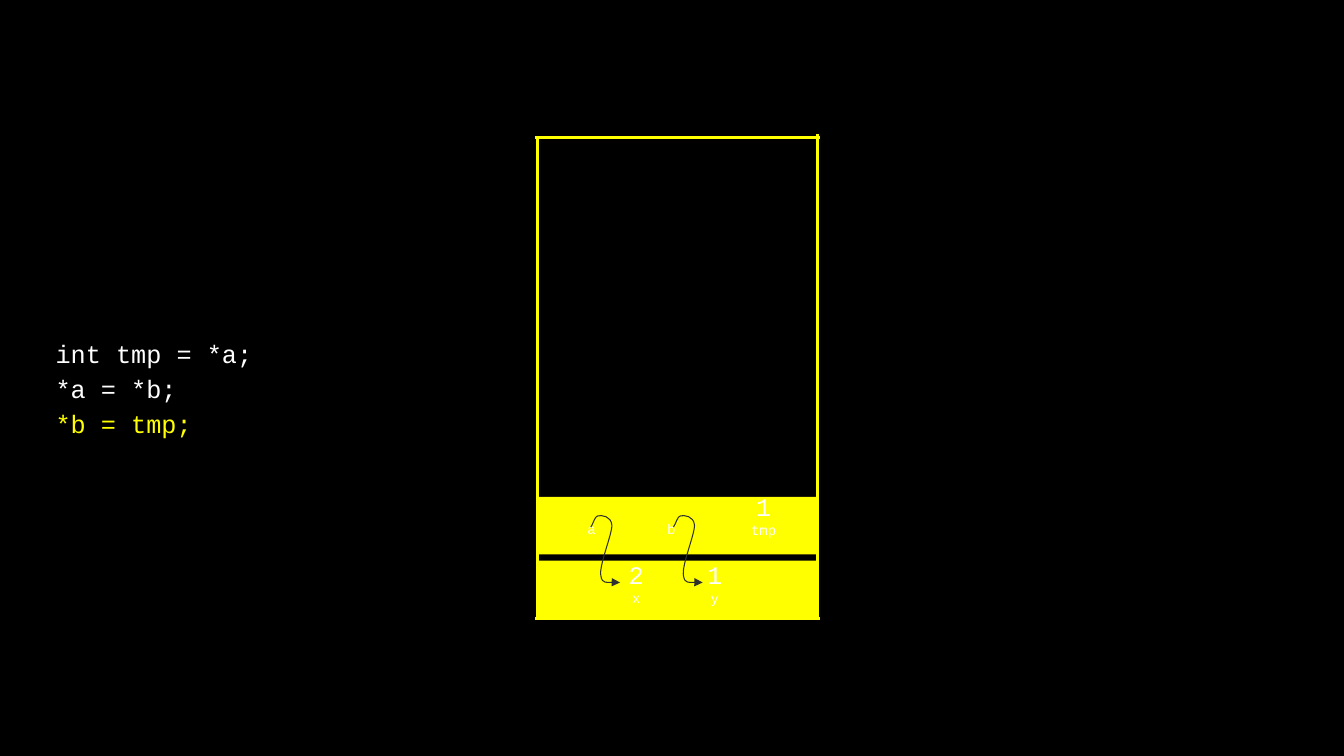
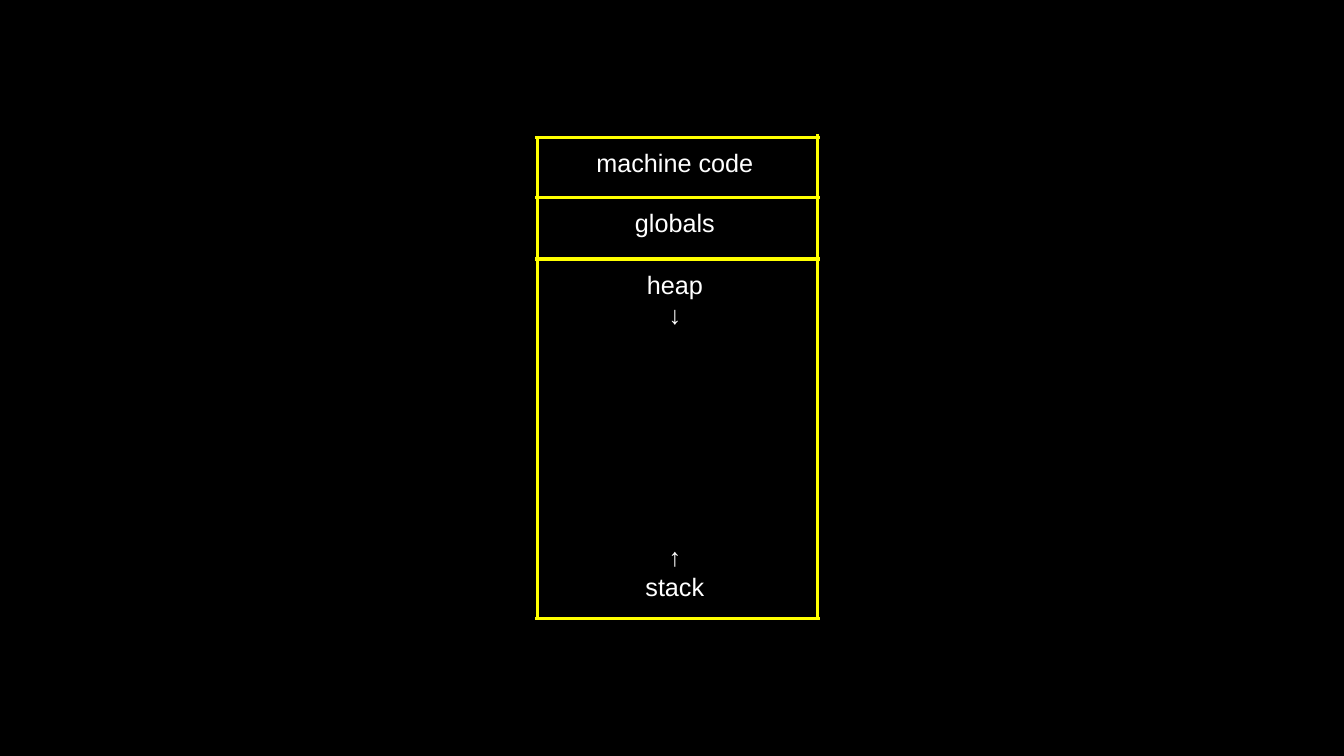
from dataclasses import dataclass

from lxml import etree
from pptx import Presentation
from pptx.dml.color import RGBColor
from pptx.enum.shapes import MSO_CONNECTOR, MSO_SHAPE
from pptx.enum.text import MSO_ANCHOR, MSO_AUTO_SIZE, PP_ALIGN
from pptx.oxml.ns import qn
from pptx.slide import Slide
from pptx.text.text import TextFrame
from pptx.util import Pt

STRAIGHT = MSO_CONNECTOR.STRAIGHT
RECTANGLE = MSO_SHAPE.RECTANGLE
MIDDLE = MSO_ANCHOR.MIDDLE
NO_RESIZE = MSO_AUTO_SIZE.NONE
CENTER = PP_ALIGN.CENTER
LEFT = PP_ALIGN.LEFT

COLORS = {
    "background": "000000",
    "accent": "FFFF00",
    "text": "FFFFFF",
    "pointer": "303030",
}
CODE_FONT = "Courier New"
LABEL_FONT = "Arial"
LARGE = 18
SMALL = 10
INSET = 7.2

FRAME_LEFT, FRAME_RIGHT = 384, 584
FRAME_TOP, FRAME_BOTTOM = 98, 442
OVERHANG = 2
POINTER_CURVE = [
    (1.4, -1.4), (2.9, -8), (5, -8),
    (8, -8.6), (14.4, -8), (15.1, -1.4),
    (15.1, 5.8), (5.8, 27.4), (7.2, 34.6),
    (8, 41), (18.7, 39), (20.9, 39.6),
]


@dataclass(frozen=True)
class Area:
    left: float
    top: float
    width: float
    height: float


@dataclass(frozen=True)
class Line:
    text: str
    size: float = LARGE
    color: str = "text"


@dataclass(frozen=True)
class Label:
    area: Area
    lines: tuple[Line, ...]


def variable(left: float, width: float, name: str, value: str, top: float) -> Label:
    return Label(Area(left, top, width, 48), (Line(value), Line(name, SMALL)))


def pointer_name(left: float, name: str) -> Label:
    return Label(Area(left, 364.5, 31, 28), (Line(name, SMALL),))


def region(top: float, *texts: str) -> Label:
    height = 17 + 22 * len(texts)
    return Label(Area(380, top, 204, height), tuple(Line(text) for text in texts))


BANDS = [Area(384, 400.5, 200, 41), Area(385, 355, 200, 41)]
VARIABLES = [
    pointer_name(407, "a"),
    pointer_name(464, "b"),
    variable(523, 45, "tmp", "1", 344),
    variable(439, 31, "x", "2", 392.5),
    variable(495, 31, "y", "1", 392.5),
]
POINTER_STARTS = [(422, 376.5), (481, 376.5)]
CODE_AREA = Area(32.5, 121, 894, 309.5)
CODE = (
    Line("int tmp = *a;"),
    Line("*a = *b;"),
    Line("*b = tmp;", color="accent"),
)
DIVIDERS = [185, 141]
REGIONS = [
    region(98, "machine code"),
    region(141, "globals"),
    region(185, "heap", "↓"),
    region(379.5, "↑", "stack"),
]


def rgb(name: str) -> RGBColor:
    return RGBColor.from_string(COLORS[name])


def write_text(
    frame: TextFrame,
    lines: tuple[Line, ...],
    *,
    font: str,
    align: PP_ALIGN = CENTER,
    spacing: float = 1.0,
) -> None:
    frame.word_wrap = True
    frame.auto_size = NO_RESIZE
    frame.margin_left = frame.margin_right = Pt(INSET)
    frame.margin_top = frame.margin_bottom = Pt(INSET)
    for index, line in enumerate(lines):
        para = frame.add_paragraph() if index else frame.paragraphs[0]
        para.alignment = align
        para.line_spacing = spacing
        para.space_before = para.space_after = Pt(0)
        span = para.add_run()
        span.text = line.text
        span.font.name = font
        span.font.size = Pt(line.size)
        span.font.color.rgb = rgb(line.color)


def add_label(page: Slide, label: Label, font: str) -> None:
    area = label.area
    box = page.shapes.add_textbox(
        Pt(area.left), Pt(area.top), Pt(area.width), Pt(area.height)
    )
    write_text(box.text_frame, label.lines, font=font)


def add_line(page: Slide, x1: float, y1: float, x2: float, y2: float) -> None:
    line = page.shapes.add_connector(STRAIGHT, Pt(x1), Pt(y1), Pt(x2), Pt(y2))
    line.line.color.rgb = rgb("accent")
    line.line.width = Pt(2.25)
    properties = line.element.find(qn("p:spPr"))
    etree.SubElement(properties, qn("a:effectLst"))


def add_rule(page: Slide, top: float) -> None:
    add_line(page, FRAME_LEFT - OVERHANG, top, FRAME_RIGHT + OVERHANG, top)


def add_frame(page: Slide) -> None:
    add_line(page, FRAME_RIGHT, FRAME_TOP - OVERHANG, FRAME_RIGHT, FRAME_BOTTOM)
    add_line(page, FRAME_LEFT, FRAME_TOP - 1, FRAME_LEFT, FRAME_BOTTOM + 1)
    add_rule(page, FRAME_TOP)
    add_rule(page, FRAME_BOTTOM)


def add_band(page: Slide, area: Area) -> None:
    band = page.shapes.add_shape(
        RECTANGLE, Pt(area.left), Pt(area.top), Pt(area.width), Pt(area.height)
    )
    band.shadow.inherit = False
    band.fill.solid()
    band.fill.fore_color.rgb = rgb("accent")
    band.line.fill.background()


def add_pointer(page: Slide, left: float, top: float) -> None:
    builder = page.shapes.build_freeform(Pt(left), Pt(top))
    builder.add_line_segments(
        [(Pt(left + x), Pt(top + y)) for x, y in POINTER_CURVE], close=False
    )
    pointer = builder.convert_to_shape()
    pointer.shadow.inherit = False
    pointer.fill.background()
    pointer.line.color.rgb = rgb("pointer")
    pointer.line.width = Pt(0.75)
    outline = next(pointer.element.iter(qn("a:path")))
    segments = outline.findall(qn("a:lnTo"))
    for start in range(0, len(segments), 3):
        curve = etree.SubElement(outline, qn("a:cubicBezTo"))
        for segment in segments[start:start + 3]:
            curve.append(segment[0])
            outline.remove(segment)
    stroke = next(pointer.element.iter(qn("a:ln")))
    etree.SubElement(stroke, qn("a:tailEnd"), type="triangle")


def add_code(page: Slide) -> None:
    body = page.placeholders[1]
    body.left, body.top = Pt(CODE_AREA.left), Pt(CODE_AREA.top)
    body.width, body.height = Pt(CODE_AREA.width), Pt(CODE_AREA.height)
    frame = body.text_frame
    frame.vertical_anchor = MIDDLE
    write_text(frame, CODE, font=CODE_FONT, align=LEFT, spacing=1.15)
    for para in frame.paragraphs:
        properties = para._p.get_or_add_pPr()
        properties.set("marL", "0")
        properties.set("indent", "0")
        etree.SubElement(properties, qn("a:buNone"))


def build_swap_page(deck: Presentation) -> None:
    page = deck.slides.add_slide(deck.slide_layouts[1])
    title = page.shapes.title.element
    title.getparent().remove(title)
    add_frame(page)
    for area in BANDS:
        add_band(page, area)
    for label in VARIABLES:
        add_label(page, label, CODE_FONT)
    for left, top in POINTER_STARTS:
        add_pointer(page, left, top)
    add_code(page)


def build_memory_page(deck: Presentation) -> None:
    page = deck.slides.add_slide(deck.slide_layouts[6])
    add_frame(page)
    for top in DIVIDERS:
        add_rule(page, top)
    for label in REGIONS:
        add_label(page, label, LABEL_FONT)


def main() -> None:
    deck = Presentation()
    deck.slide_width, deck.slide_height = Pt(960), Pt(540)
    backdrop = deck.slide_master.background.fill
    backdrop.solid()
    backdrop.fore_color.rgb = rgb("background")
    build_swap_page(deck)
    build_memory_page(deck)
    deck.save("out.pptx")


if __name__ == "__main__":
    main()
